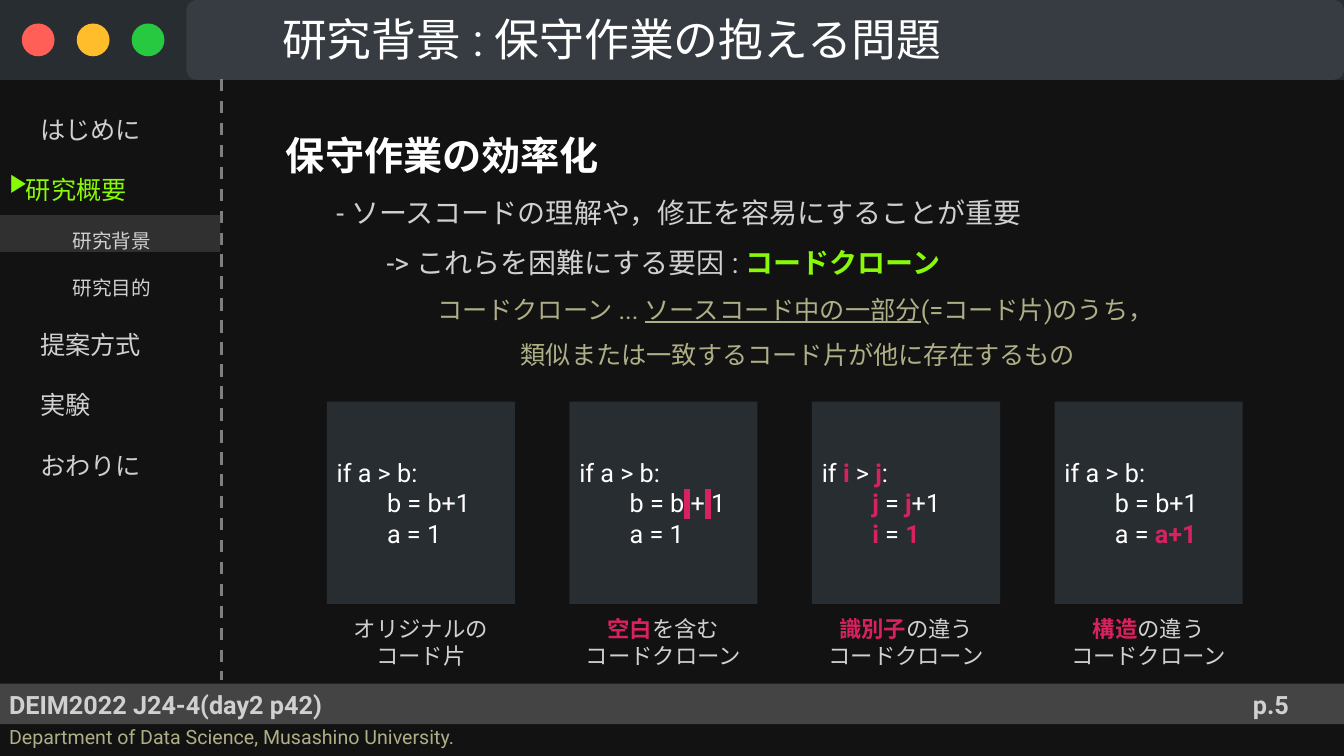
import lxml.etree
import pptx
import pptx.dml.color
import pptx.enum.dml
import pptx.enum.shapes
import pptx.enum.text
import pptx.oxml.ns
import pptx.util

RGB = pptx.dml.color.RGBColor
BLACK = RGB(0x12, 0x12, 0x12)
PANEL = RGB(0x28, 0x2D, 0x31)
TITLE_BAR = RGB(0x36, 0x3C, 0x41)
FOOTER_BAR = RGB(0x44, 0x44, 0x44)
CURRENT_ROW = RGB(0x30, 0x30, 0x30)
DIVIDER = RGB(0x80, 0x7F, 0x80)
WHITE = RGB(0xFF, 0xFF, 0xFF)
LIGHT = RGB(0xD0, 0xD0, 0xD0)
OLIVE = RGB(0xAF, 0xAF, 0x87)
GREEN = RGB(0x88, 0xF9, 0x06)
PINK = RGB(0xD7, 0x22, 0x5F)
BUTTONS = [RGB(0xFF, 0x5F, 0x57), RGB(0xFF, 0xBD, 0x2B), RGB(0x26, 0xC9, 0x3F)]

SHAPES = pptx.enum.shapes.MSO_SHAPE
ANCHOR = pptx.enum.text.MSO_ANCHOR
ALIGN = pptx.enum.text.PP_ALIGN
COLUMNS, ROWS = 160, 90
CELL = pptx.util.Inches(1 / 12)
FONT = "Roboto"

PINK_BOLD = {"color": PINK, "bold": True}
GAP = (" ", {"color": PINK, "highlight": PINK})


def line(*runs, indent=0, **style):
    """One paragraph: runs are strings or (string, style) pairs."""
    return runs, indent, style


class SlideBuilder:
    """Draws on one slide; lengths are in columns and rows of the grid."""

    def __init__(self, presentation):
        presentation.slide_width = COLUMNS * CELL
        presentation.slide_height = ROWS * CELL
        self.slide = presentation.slides.add_slide(presentation.slide_layouts[6])
        self.slide.background.fill.solid()
        self.slide.background.fill.fore_color.rgb = BLACK

    def grid(self, *lengths):
        return [round(length * CELL) for length in lengths]

    def shape(self, place, color, kind=SHAPES.RECTANGLE):
        shape = self.slide.shapes.add_shape(kind, *self.grid(*place))
        shape.shadow.inherit = False
        shape.fill.solid()
        shape.fill.fore_color.rgb = color
        shape.line.fill.background()
        return shape

    def divider(self, column, top, bottom):
        connector = self.slide.shapes.add_connector(
            pptx.enum.shapes.MSO_CONNECTOR.STRAIGHT,
            *self.grid(column, top, column, bottom))
        connector.line.color.rgb = DIVIDER
        connector.line.width = pptx.util.Pt(2.25)
        connector.line.dash_style = pptx.enum.dml.MSO_LINE.DASH
        lxml.etree.SubElement(connector._element.spPr,
                              pptx.oxml.ns.qn("a:effectLst"))

    def text_box(self, place, lines, **options):
        self.fill_text(self.slide.shapes.add_textbox(*self.grid(*place)),
                       lines, **options)

    def fill_text(self, shape, lines, size=18, color=LIGHT, anchor=ANCHOR.TOP,
                  align=ALIGN.LEFT, spacing=None, inset=0.1, top=0.05, bottom=0.05):
        frame = shape.text_frame
        frame_format = {
            "word_wrap": True, "vertical_anchor": anchor,
            "margin_left": pptx.util.Inches(inset),
            "margin_right": pptx.util.Inches(inset),
            "margin_top": pptx.util.Inches(top),
            "margin_bottom": pptx.util.Inches(bottom)}
        for name, value in frame_format.items():
            setattr(frame, name, value)
        for number, (runs, indent, style) in enumerate(lines):
            paragraph = frame.add_paragraph() if number else frame.paragraphs[0]
            paragraph.alignment = align
            paragraph.line_spacing = spacing
            if indent:
                properties = paragraph._p.get_or_add_pPr()
                properties.set("marL", str(pptx.util.Inches(indent)))
                properties.set("indent", "0")
            for run in runs:
                text, changes = (run, {}) if isinstance(run, str) else run
                self.add_text(paragraph, text,
                              {"size": size, "color": color, **style, **changes})

    def add_text(self, paragraph, text, style):
        run = paragraph.add_run()
        run.text = text
        font_format = {
            "name": FONT, "size": pptx.util.Pt(style["size"]),
            "bold": style.get("bold", False),
            "underline": style.get("underline", False)}
        for name, value in font_format.items():
            setattr(run.font, name, value)
        run.font.color.rgb = style["color"]
        latin = run._r.rPr.find(pptx.oxml.ns.qn("a:latin"))
        east_asian = lxml.etree.Element(pptx.oxml.ns.qn("a:ea"), typeface=FONT)
        latin.addnext(east_asian)
        if "highlight" in style:
            highlight = lxml.etree.Element(pptx.oxml.ns.qn("a:highlight"))
            lxml.etree.SubElement(highlight, pptx.oxml.ns.qn("a:srgbClr"),
                                  val=str(style["highlight"]))
            latin.addprevious(highlight)


def draw_frame(builder):
    builder.shape((0, 81.4, COLUMNS, 4.8), FOOTER_BAR)
    builder.shape((0, 0, COLUMNS, 9.5), PANEL)
    for number, color in enumerate(BUTTONS):
        builder.shape((2.6 + 6.54 * number, 2.8, 3.9, 3.9), color, SHAPES.OVAL)
    title_bar = builder.shape((22.2, 0, 137.8, 9.5), TITLE_BAR,
                              SHAPES.ROUNDED_RECTANGLE)
    title_bar.adjustments[0] = 0.13
    builder.divider(26.4, 9.4, 81)
    builder.text_box((-0.1, 81.5, 80.2, 4.8),
                     [line("DEIM2022 J24-4(day2 p42)", bold=True)])
    builder.text_box((-0.1, 85.7, 80.2, 4.1),
                     [line("Department of Data Science, Musashino University.")],
                     size=14, color=OLIVE)
    builder.text_box((142.6, 81.5, 17.4, 4.8), [line("p.5", bold=True)],
                     anchor=ANCHOR.MIDDLE, align=ALIGN.CENTER)
    builder.text_box((26.4, 0.7, 133.6, 7.7),
                     [line("研究背景 : 保守作業の抱える問題", indent=0.5)],
                     size=32, color=WHITE, anchor=ANCHOR.MIDDLE)


def draw_sidebar(builder):
    builder.shape((0, 25.6, 26.2, 4.4), CURRENT_ROW)
    builder.text_box((0, 9.4, 26.4, 71.6), [
        line("はじめに", indent=0.3),
        line("研究概要", indent=0.16, color=GREEN),
        line("研究背景", indent=0.62, size=14),
        line("研究目的", indent=0.62, size=14),
        line("提案方式", indent=0.3),
        line("実験", indent=0.3),
        line("おわりに", indent=0.3)], spacing=2.0)
    builder.text_box((0, 19.2, 5.5, 4.8), [line("▶︎")], color=GREEN)


def draw_explanation(builder):
    definition = {"size": 18, "color": OLIVE}
    builder.text_box((26.6, 11.4, 133.4, 28.3), [
        line("保守作業の効率化", indent=0.5, size=28, color=WHITE, bold=True),
        line("- ソースコードの理解や，修正を容易にすることが重要", indent=1),
        line("-> これらを困難にする要因 : ",
             ("コードクローン", {"color": GREEN, "bold": True}), indent=1.5),
        line("コードクローン ... ", ("ソースコード中の一部分", {"underline": True}),
             "(=コード片)のうち，", indent=2, **definition),
        line("類似または一致するコード片が他に存在するもの", indent=2.83, **definition),
    ], size=20, spacing=1.5, inset=0.12, top=0.12, bottom=0.1)


def draw_clone_cards(builder):
    condition = line("if a > b:")
    increment = line("b = b+1", indent=0.5)
    assignment = line("a = 1", indent=0.5)
    i, j, one = [(text, PINK_BOLD) for text in ("i", "j", "1")]
    cards = [
        ([condition, increment, assignment],
         [line("オリジナルの"), line("コード片")]),
        ([condition, line("b = b", GAP, "+", GAP, "1", indent=0.5), assignment],
         [line(("空白", PINK_BOLD), "を含む"), line("コードクローン")]),
        ([line("if ", i, " > ", j, ":"),
          line(j, " = ", j, "+1", indent=0.5),
          line(i, " = ", one, indent=0.5)],
         [line(("識別子", PINK_BOLD), "の違う"), line("コードクローン")]),
        ([condition, increment, line("a = ", ("a+1", PINK_BOLD), indent=0.5)],
         [line(("構造", PINK_BOLD), "の違う"), line("コードクローン")]),
    ]
    for number, (code, caption) in enumerate(cards):
        left = 38.9 + 28.88 * number
        card = builder.shape((left, 47.8, 22.4, 24.1), PANEL)
        builder.fill_text(card, code, color=WHITE, anchor=ANCHOR.MIDDLE)
        builder.text_box((left, 71.8, 22.4, 7.7), caption, size=16,
                         align=ALIGN.CENTER, inset=0.12, top=0.12, bottom=0.1)


def main():
    presentation = pptx.Presentation()
    builder = SlideBuilder(presentation)
    draw_frame(builder)
    draw_sidebar(builder)
    draw_explanation(builder)
    draw_clone_cards(builder)
    presentation.save("out.pptx")


if __name__ == "__main__":
    main()
